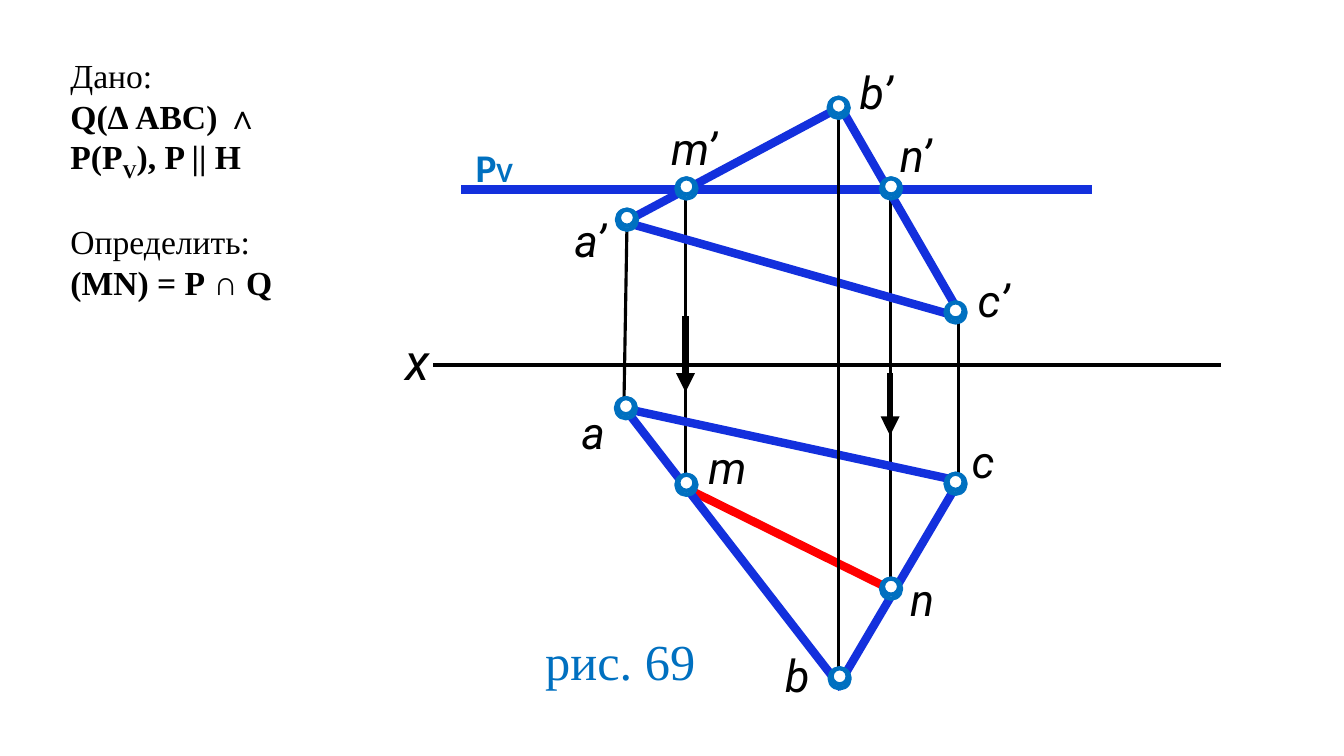
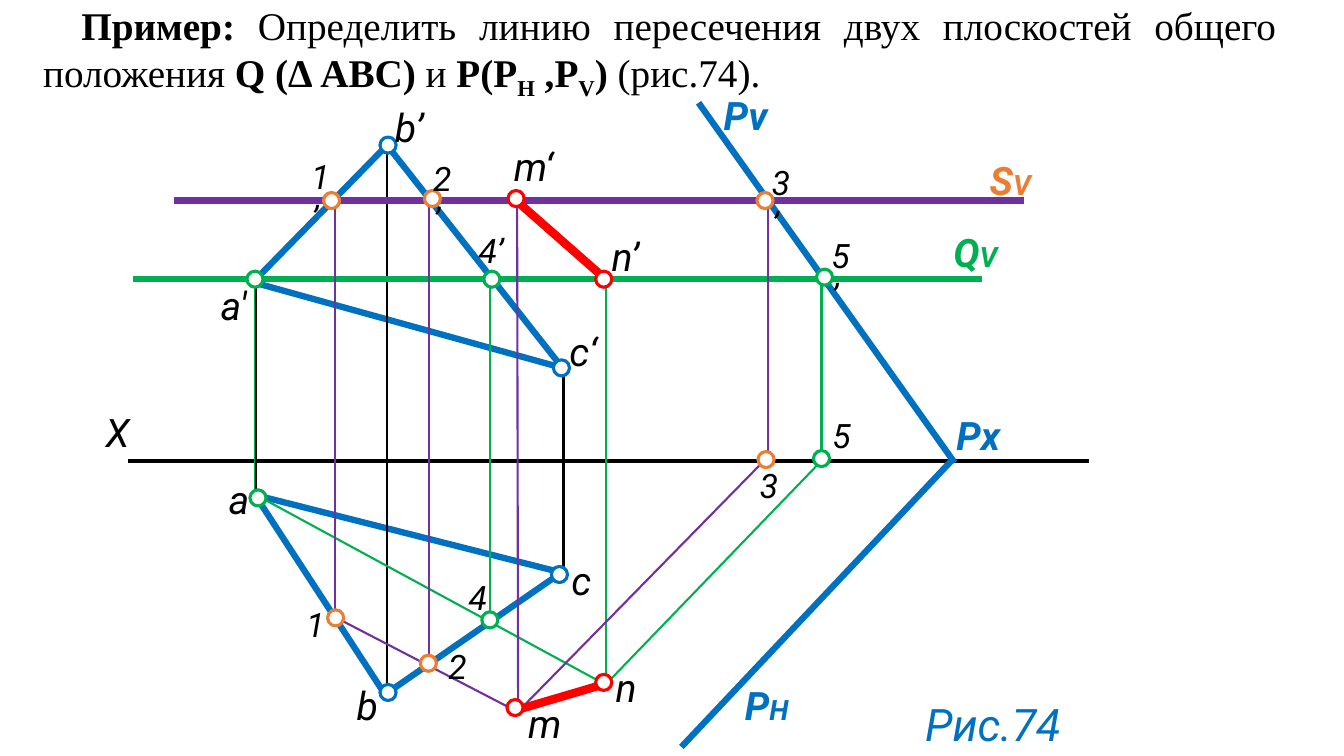
from dataclasses import dataclass

from lxml import etree
from pptx import Presentation
from pptx import util as u
from pptx.dml.color import RGBColor
from pptx.enum import shapes, text
from pptx.oxml import ns


@dataclass(frozen=True)
class Theme:
    """Colours, fonts, type sizes and the grid cell."""

    ink: str = "000000"
    paper: str = "FFFFFF"
    blue: str = "0070C0"
    royal: str = "1330DD"
    red: str = "FF0000"
    green: str = "00B050"
    purple: str = "7030A0"
    orange: str = "ED7D31"
    serif: str = "Times New Roman"
    sans: str = "Calibri"
    drawn: str = "Roboto"
    index: int = 20
    digit: int = 24
    body: int = 24
    title: int = 28
    point: int = 28
    large: int = 32
    huge: int = 36
    cell: float = 0.1
    columns: float = 133.33
    rows: float = 75


class Sketch:
    """Draws on the current slide, with every length in grid cells."""

    def __init__(self, theme):
        """Open a deck of the theme's size."""
        self.theme = theme
        self.deck = Presentation()
        self.deck.slide_width = self.cells(theme.columns)
        self.deck.slide_height = self.cells(theme.rows)
        self.page = None

    def cells(self, count):
        """Turn grid cells into a length."""
        return u.Inches(count * self.theme.cell)

    def new_page(self):
        """Start a blank slide."""
        self.page = self.deck.slides.add_slide(self.deck.slide_layouts[6])

    def stroke(self, shape, color, width):
        """Set the outline of a shape."""
        shape.line.color.rgb = RGBColor.from_string(color)
        shape.line.width = u.Pt(width)

    def lines(self, color, width, *ends, arrow=False):
        """Draw straight lines that share a colour and a width."""
        for end in ends:
            line = self.page.shapes.add_connector(
                shapes.MSO_CONNECTOR.STRAIGHT, *map(self.cells, end))
            self.stroke(line, color, width)
            outline = line.element.spPr
            if arrow:
                etree.SubElement(outline.find(ns.qn("a:ln")),
                                 ns.qn("a:tailEnd"), type="triangle")
            etree.SubElement(outline, ns.qn("a:effectLst"))

    def triangle(self, color, width, first, *others):
        """Draw an unfilled closed outline."""
        builder = self.page.shapes.build_freeform(*map(self.cells, first))
        builder.add_line_segments(
            [tuple(map(self.cells, corner)) for corner in others])
        shape = builder.convert_to_shape()
        shape.fill.background()
        shape.shadow.inherit = False
        self.stroke(shape, color, width)

    def dots(self, color, width, size, *corners):
        """Draw white rings at the given top left corners."""
        for left, top in corners:
            dot = self.page.shapes.add_shape(
                shapes.MSO_SHAPE.OVAL,
                *map(self.cells, (left, top, size, size)))
            dot.fill.solid()
            dot.fill.fore_color.rgb = RGBColor.from_string(self.theme.paper)
            dot.shadow.inherit = False
            self.stroke(dot, color, width)

    def box(self, left, top, width, height):
        """Add an empty wrapping text box and return its frame."""
        frame = self.page.shapes.add_textbox(
            *map(self.cells, (left, top, width, height))).text_frame
        frame.word_wrap = True
        frame.auto_size = text.MSO_AUTO_SIZE.SHAPE_TO_FIT_TEXT
        return frame

    def span(self, para, words, size, font, color, bold=False, italic=False,
             sub=False):
        """Add one run to a paragraph."""
        span = para.add_run()
        span.text = words
        span.font.size = u.Pt(size)
        span.font.name = font
        span.font.bold = bold
        span.font.italic = italic
        span.font.color.rgb = RGBColor.from_string(color)
        if sub:
            span._r.get_or_add_rPr().set("baseline", "-25000")

    def label(self, words, left, top, width, size, color=None, font=None,
              index="", bold=False, italic=True):
        """Add a one-line label with an optional small index."""
        theme = self.theme
        frame = self.box(left, top, width, size * 0.175 + 0.8)
        for part, points in ((words, size), (index, theme.index)):
            if part:
                self.span(frame.paragraphs[0], part, points,
                          font or theme.drawn, color or theme.ink,
                          bold, italic)

    def labels(self, size, *places):
        """Add plain labels that share a size."""
        for words, left, top, width in places:
            self.label(words, left, top, width, size)

    def prose(self, para, size, *parts):
        """Fill a paragraph with (words, style) runs, b bold and s lowered."""
        for words, style in parts:
            self.span(para, words, size, self.theme.serif, self.theme.ink,
                      bold="b" in style, sub="s" in style)


def level_plane(sketch):
    """Build the slide with a level cutting plane."""
    theme = sketch.theme
    sketch.new_page()
    sketch.lines(theme.red, 6, (87.6, 58.1, 68.8, 48.8))
    sketch.lines(theme.ink, 3, (43, 36.2, 121.1, 36.2))
    sketch.lines(theme.ink, 2.25,
                 (95.1, 47.7, 95.1, 30.4), (88.3, 58.5, 88.3, 18.8),
                 (61.9, 40.1, 62.2, 22.4), (68, 48.5, 68, 18.2))
    sketch.lines(theme.royal, 6,
                 (108.3, 18.8, 45.7, 18.8),
                 (95.1, 30.9, 83.1, 10.1), (62.2, 22.1, 95, 31.4),
                 (62.6, 21.7, 83.4, 10.6), (62.3, 40.6, 95.1, 47.7),
                 (83, 68.3, 95.1, 47.8), (62.2, 40.8, 83.5, 68.3))
    sketch.lines(theme.ink, 2.25, (83.2, 67.7, 83.2, 10.6))
    corners = ((67.1, 17.7), (93.8, 47), (67.1, 47.1), (82.2, 9.7),
               (93.8, 30), (61.2, 20.8), (61.1, 39.5), (87.4, 17.7),
               (87.4, 57.4), (82.3, 66.3))
    sketch.dots(theme.blue, 3, 2, *corners)
    sketch.dots(theme.blue, 3, 1.6,
                *((left + 0.2, top) for left, top in corners))
    sketch.lines(theme.ink, 4.5, (68, 31.4, 68, 38.9),
                 (88.3, 37, 88.3, 43.2), arrow=True)
    sketch.labels(theme.huge, ("x", 39.2, 32.3, 4.3))
    sketch.labels(theme.large,
                  ("n", 89.3, 56.2, 7.3), ("m", 69.3, 43.1, 7.3),
                  ("a", 56.7, 39.7, 6), ("b", 76.9, 63.8, 6.1),
                  ("c", 95.4, 42.5, 8.3), ("a’", 56, 20.6, 6),
                  ("b’", 84.3, 5.9, 5.9), ("c’", 96, 26.6, 6.7),
                  ("m’", 65.6, 11.5, 7.3), ("n’", 88.3, 12.2, 7.3))
    sketch.label("P", 46.2, 13.7, 8.9, theme.point, theme.blue, theme.sans,
                 index="V", bold=True, italic=False)
    sketch.label("рис. 69", 53.1, 62, 17.1, theme.huge, theme.blue,
                 theme.serif, italic=False)
    frame = sketch.box(6, 5, 22.9, 25.2)
    task = ((("Дано:", ""),),
            (("Q(Δ АВС) ∧", "b"),),
            (("P(P", "b"), ("V", "bs"), ("), P || H", "b")),
            (("Определить:", ""),),
            (("(MN) = Р ∩ Q", "b"),))
    for number, parts in enumerate(task):
        para = frame.add_paragraph() if number else frame.paragraphs[0]
        if parts[0][0] == "Определить:":
            para.space_before = u.Pt(28)
        sketch.prose(para, theme.body, *parts)


def general_planes(sketch):
    """Build the slide with two planes in general position."""
    theme = sketch.theme
    sketch.new_page()
    sketch.triangle(theme.blue, 4.5, (25.1, 28), (38.4, 14.4), (55.8, 36.5))
    sketch.triangle(theme.blue, 4.5,
                    (25.3, 49.1), (38.2, 68.9), (55.7, 56.8))
    sketch.lines(theme.ink, 3, (108, 45.7, 12.7, 45.7))
    sketch.lines(theme.ink, 1.5, (38.4, 14.4, 38.4, 68.3),
                 (55.9, 36.5, 55.9, 57))
    sketch.lines(theme.blue, 4.5, (94.7, 45.9, 69.3, 10.2),
                 (94.4, 45.7, 67.6, 74.1))
    sketch.lines(theme.green, 4.5, (97.4, 27.7, 13.2, 27.7))
    sketch.lines(theme.green, 1.5,
                 (25.3, 27.8, 25.3, 49.5), (60.4, 68.1, 25.4, 49.1),
                 (48.6, 27.7, 48.6, 61.9), (81.5, 27.4, 81.5, 45.5),
                 (81.7, 45.5, 59.9, 68.1), (60.1, 27.5, 60.1, 68.1))
    sketch.lines(theme.purple, 4.5, (101.6, 19.9, 17.3, 19.9))
    sketch.lines(theme.purple, 1.5,
                 (76.2, 19.7, 76.2, 45.3), (33.2, 20.6, 33.2, 61.1),
                 (42.6, 19.7, 42.6, 65.8), (51.7, 70.8, 33, 61.1),
                 (76.2, 45.3, 51.2, 70.8), (51.3, 19.8, 51.4, 70.6))
    sketch.lines(theme.ink, 1.5, (25.4, 28.6, 25.4, 50.3))
    sketch.lines(theme.red, 6, (59.4, 27.1, 51.1, 19.8),
                 (60.2, 67.8, 50.7, 70.6))
    rings = {
        theme.orange: ((32.1, 19.1), (42.1, 18.9), (32.5, 60.5),
                       (75.2, 44.8), (75.1, 19.1), (41.7, 65)),
        theme.green: ((24.5, 26.9), (80.7, 44.7), (47.8, 60.7),
                      (48, 26.9), (81, 26.7), (24.8, 48.6)),
        theme.red: ((59.1, 26.9), (50.3, 69.4), (59.1, 66.9), (50.4, 18.9)),
        theme.blue: ((37.7, 13.6), (54.9, 35.7), (54.7, 56.2), (37.7, 67.9)),
    }
    for color, corners in rings.items():
        sketch.dots(color, 2.25, 1.6, *corners)
    sketch.labels(theme.digit,
                  ("1’", 29.9, 15, 3.9), ("1", 29.4, 59.4, 3.8),
                  ("2’", 42, 15.2, 4.4), ("2", 43.5, 63.6, 3.8),
                  ("3’", 75.6, 15.6, 4.4), ("3", 74.4, 45.6, 3.8),
                  ("4’", 46.5, 22.3, 4.8), ("4", 45.5, 56.7, 3.8),
                  ("5’", 81.5, 22.8, 4.4), ("5", 81.6, 40.7, 3.8))
    sketch.labels(theme.point,
                  ("X", 9.5, 40, 6.6), ("m", 51.4, 68.9, 5.3),
                  ("m‘", 50, 13.6, 6.9), ("n", 60.1, 65.3, 4.3),
                  ("n’", 59.7, 22.6, 5.3), ("b’", 38.2, 9.8, 6.5),
                  ("b", 34.4, 67.1, 4.3), ("a'", 20.9, 27.4, 5.2),
                  ("a", 21.7, 46.7, 4.3), ("c‘", 55.5, 32, 5.1),
                  ("c", 55.7, 54.7, 4.3))
    traces = (("P", "H", 72.9, 67.1, theme.blue),
              ("Pv", "", 70.8, 8.6, theme.blue),
              ("Px", "", 93.9, 40.3, theme.blue),
              ("Q", "V", 93.6, 22.2, theme.green),
              ("S", "V", 97.2, 15, theme.orange))
    for words, index, left, top, color in traces:
        sketch.label(words, left, top, 8.9, theme.point, color,
                     index=index, bold=True)
    sketch.label("Рис.74", 90.8, 68.6, 17.3, theme.large, theme.blue)
    para = sketch.box(1.3, -0.4, 126.3, 10.4).paragraphs[0]
    para.alignment = text.PP_ALIGN.JUSTIFY
    para.space_after = u.Pt(6)
    margins = para._p.get_or_add_pPr()
    margins.set("marL", str(sketch.cells(2)))
    margins.set("indent", str(sketch.cells(3.8)))
    sketch.prose(
        para, theme.title, ("Пример:", "b"),
        (" Определить линию пересечения двух плоскостей общего положения ",
         ""),
        ("Q (Δ АВС) ", "b"), ("и ", ""), ("P(P", "b"), ("H", "bs"),
        (" ,P", "b"), ("V", "bs"), (") ", "b"), ("(рис.74).", ""))


def main():
    """Build and save the deck."""
    sketch = Sketch(Theme())
    level_plane(sketch)
    general_planes(sketch)
    sketch.deck.save("out.pptx")


if __name__ == "__main__":
    main()
